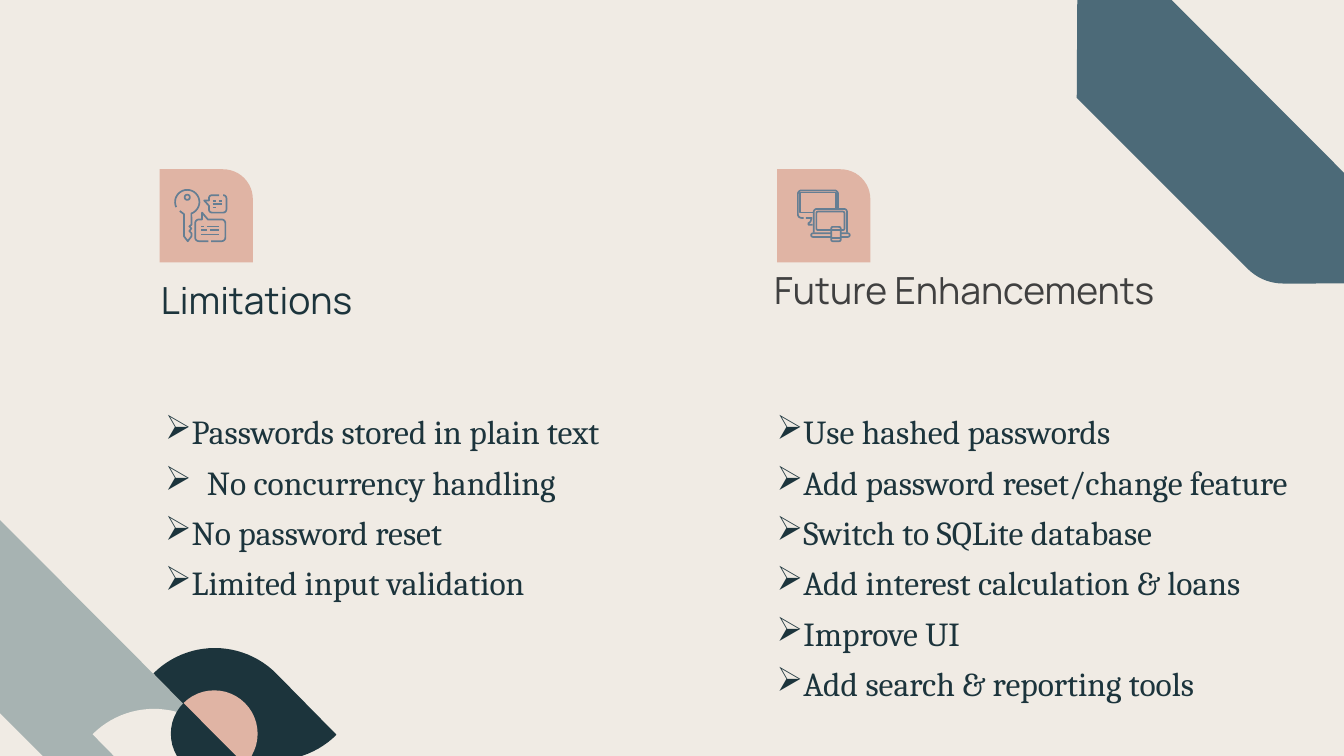
from dataclasses import dataclass
from math import cos, radians, sin

from lxml.etree import SubElement
from pptx import Presentation
from pptx.dml.color import RGBColor
from pptx.enum.shapes import MSO_CONNECTOR, MSO_SHAPE
from pptx.enum.text import MSO_ANCHOR
from pptx.oxml.ns import qn
from pptx.util import Cm, Pt


@dataclass(frozen=True)
class Theme:
    """Hold the colours, fonts and sizes of the slide."""
    paper: str = "F0EBE4"
    sage: str = "A7B3B2"
    ink: str = "1C343C"
    blush: str = "E0B4A4"
    slate: str = "4C6A78"
    icon: str = "657E93"
    grey: str = "404040"
    heading_font: str = "Manrope"
    body_font: str = "Cambria"
    heading_size: int = 20
    body_size: int = 18
    stroke: float = 0.9


THEME = Theme()


def rgb(value):
    """Turn a hex string into a colour."""
    return RGBColor.from_string(value)


def arc(x, y, radius, start, end, steps=24):
    """Return points along a circular arc, angles clockwise from the right."""
    angles = [radians(start + (end - start) * step / steps) for step in range(steps + 1)]
    return [(x + radius * cos(angle), y + radius * sin(angle)) for angle in angles]


def style(shape, fill=None, line=None):
    """Set fill and line of a shape and remove its shadow."""
    shape.shadow.inherit = False
    if fill:
        shape.fill.solid()
        shape.fill.fore_color.rgb = rgb(fill)
    else:
        shape.fill.background()
    if line:
        shape.line.color.rgb = rgb(line)
        shape.line.width = Pt(THEME.stroke)
    else:
        shape.line.fill.background()


def add_outline(page, left, top, points, fill=None, line=None, close=True):
    """Draw a freeform whose points are relative to left and top."""
    placed = [(Cm(left + x), Cm(top + y)) for x, y in points]
    builder = page.shapes.build_freeform(*placed[0])
    builder.add_line_segments(placed[1:], close=close)
    style(builder.convert_to_shape(), fill, line)


def add_preset(page, kind, left, top, width, height, fill=None, line=None, corner=None):
    """Draw a preset shape in the given box."""
    shape = page.shapes.add_shape(kind, Cm(left), Cm(top), Cm(width), Cm(height))
    if corner is not None:
        shape.adjustments[0] = corner
    style(shape, fill, line)


def add_stroke(page, left, top, x_start, x_end, y):
    """Draw a short horizontal icon line."""
    stroke = page.shapes.add_connector(
        MSO_CONNECTOR.STRAIGHT, Cm(left + x_start), Cm(top + y), Cm(left + x_end), Cm(top + y))
    stroke.line.color.rgb = rgb(THEME.icon)
    stroke.line.width = Pt(THEME.stroke)
    SubElement(stroke._element.spPr, qn("a:effectLst"))


def add_band(page, left, top, fill):
    """Draw a diagonal band with one rounded corner."""
    points = [(6.05, 6.05), (0.02, 0), (0, 3.63), *arc(3.9, 6.2, 0.94, 135, 90), (6.07, 7.14)]
    add_outline(page, left, top, points, fill)


def add_leaf(page, left, top, fill):
    """Draw a leaf made of two quarter arcs."""
    points = arc(1.16, 1.16, 1.64, 225, 315) + arc(2.3, 0, 1.64, 45, 135)
    add_outline(page, left, top, points, fill)


def add_corner_art(page, left, top):
    """Draw the band, leaves and split disc of the lower left corner."""
    add_band(page, left, top, THEME.sage)
    add_leaf(page, left + 2.95, top + 2.93, THEME.ink)
    add_leaf(page, left + 1.8, top + 4.08, THEME.paper)
    for start, fill in ((45, THEME.ink), (225, THEME.blush)):
        add_outline(page, left + 4.1, top + 4.07, arc(0, 0, 0.82, start, start + 180), fill)


def add_key_icon(page, left, top):
    """Draw a key with two speech bubbles in a one centimetre box."""
    key = [*arc(0.24, 0.24, 0.23, 155, 430), (0.32, 0.67), (0.28, 0.7), (0.32, 0.74),
           (0.28, 0.79), (0.32, 0.83), (0.32, 0.89), (0.25, 0.98), (0.18, 0.89),
           (0.18, 0.47), (0.1, 0.41)]
    small_bubble = [(0.84, 0.11), *arc(0.71, 0.17, 0.06, 270, 180), (0.65, 0.21),
                    (0.56, 0.21), (0.65, 0.31), *arc(0.71, 0.38, 0.06, 180, 90),
                    *arc(0.92, 0.38, 0.06, 90, 0), *arc(0.92, 0.17, 0.06, 0, -90)]
    large_bubble = [(0.64, 0.98), *arc(0.46, 0.91, 0.07, 90, 180),
                    *arc(0.46, 0.64, 0.07, 180, 270), (0.52, 0.57), (0.52, 0.44),
                    (0.63, 0.57), *arc(0.89, 0.64, 0.07, 270, 360),
                    *arc(0.89, 0.91, 0.07, 0, 90), (0.69, 0.98)]
    for points in (key, small_bubble, large_bubble):
        add_outline(page, left, top, points, line=THEME.icon, close=False)
    add_preset(page, MSO_SHAPE.OVAL, left + 0.19, top + 0.1, 0.1, 0.1, line=THEME.icon)
    for stroke in ((0.72, 0.79, 0.22), (0.83, 0.9, 0.22), (0.72, 0.9, 0.28),
                   (0.72, 0.79, 0.34), (0.5, 0.56, 0.7), (0.61, 0.84, 0.7),
                   (0.5, 0.62, 0.77), (0.67, 0.84, 0.77), (0.5, 0.84, 0.85)):
        add_stroke(page, left, top, *stroke)


def add_devices_icon(page, left, top):
    """Draw a monitor, a laptop and a phone in a one centimetre box."""
    monitor = [(0.78, 0.36), *arc(0.71, 0.09, 0.07, 0, -90), *arc(0.09, 0.09, 0.07, 270, 180),
               *arc(0.09, 0.47, 0.07, 180, 90), (0.13, 0.54)]
    display = [(0.74, 0.36), (0.74, 0.06), (0.06, 0.06), (0.06, 0.44), (0.31, 0.44)]
    stand = [(0.17, 0.54), (0.28, 0.54), (0.26, 0.61), (0.22, 0.64), (0.22, 0.67), (0.3, 0.67)]
    lid = [(0.32, 0.82), *arc(0.38, 0.43, 0.06, 180, 270), *arc(0.89, 0.43, 0.06, 270, 360),
           (0.95, 0.82)]
    for points in (monitor, display, stand, lid):
        add_outline(page, left, top, points, line=THEME.icon, close=False)
    for x, y, width, height, corner, fill in (
            (0.37, 0.42, 0.53, 0.35, 0.08, None), (0.27, 0.83, 0.73, 0.07, 0.5, None),
            (0.65, 0.71, 0.18, 0.27, 0.16, THEME.blush)):
        add_preset(page, MSO_SHAPE.ROUNDED_RECTANGLE, left + x, top + y, width, height,
                   fill, THEME.icon, corner)
    for y in (0.77, 0.92):
        add_stroke(page, left, top, 0.65, 0.83, y)


def add_tile(page, left, top, draw_icon, inset):
    """Draw a tile with one rounded corner and an icon on it."""
    add_preset(page, MSO_SHAPE.ROUND_1_RECTANGLE, left, top, 1.76, 1.76,
               THEME.blush, corner=0.32)
    draw_icon(page, left + inset, top + 0.38)


def add_bullet(para, color, margin):
    """Give a paragraph an arrow bullet with a hanging indent."""
    props = para._p.get_or_add_pPr()
    props.set("marL", str(Cm(margin)))
    props.set("indent", str(Cm(-0.79)))
    SubElement(SubElement(props, qn("a:buClr")), qn("a:srgbClr")).set("val", color)
    SubElement(props, qn("a:buChar")).set("char", "➢")


def add_text(page, left, top, width, height, lines, *, font, size, color,
             anchor=MSO_ANCHOR.TOP, margins=None):
    """Place lines of text, bulleted when margins are given."""
    box = page.shapes.add_textbox(Cm(left), Cm(top), Cm(width), Cm(height))
    frame = box.text_frame
    frame.word_wrap = True
    frame.vertical_anchor = anchor
    for index, line in enumerate(lines):
        para = frame.add_paragraph() if index else frame.paragraphs[0]
        if margins:
            add_bullet(para, color, margins[index])
        para.line_spacing = 0.9
        para.space_before = Pt(7.5 if index else 0)
        span = para.add_run()
        span.text = line
        span.font.name = font
        span.font.size = Pt(size)
        span.font.color.rgb = rgb(color)


def add_heading(page, left, top, width, text, color):
    """Place a column heading."""
    add_text(page, left, top, width, 1.24, [text], font=THEME.heading_font,
             size=THEME.heading_size, color=color)


def add_list(page, left, top, width, height, lines, wide=()):
    """Place a bulleted list; lines indexed in wide get a larger margin."""
    margins = [0.79 if index in wide else 0.16 for index in range(len(lines))]
    add_text(page, left, top, width, height, lines, font=THEME.body_font,
             size=THEME.body_size, color=THEME.ink, anchor=MSO_ANCHOR.MIDDLE, margins=margins)


def main():
    """Build the slide and save it."""
    deck = Presentation()
    deck.slide_width, deck.slide_height = Cm(25.4), Cm(14.29)
    page = deck.slides.add_slide(deck.slide_layouts[6])
    page.background.fill.solid()
    page.background.fill.fore_color.rgb = rgb(THEME.paper)
    add_corner_art(page, -0.05, 9.8)
    add_band(page, 20.35, -1.78, THEME.slate)
    add_tile(page, 3.02, 3.2, add_key_icon, 0.28)
    add_tile(page, 14.69, 3.2, add_devices_icon, 0.37)
    add_heading(page, 2.79, 5.21, 7.72, "Limitations", THEME.ink)
    add_heading(page, 14.38, 5.03, 9.12, "Future Enhancements", THEME.grey)
    add_list(page, 2.87, 7.52, 9.8, 4.22, [
        "Passwords stored in plain text", "No concurrency handling",
        "No password reset", "Limited input validation"], wide=(1,))
    add_list(page, 14.43, 7.61, 10.97, 5.94, [
        "Use hashed passwords", "Add password reset/change feature",
        "Switch to SQLite database", "Add interest calculation & loans",
        "Improve UI", "Add search & reporting tools"])
    deck.save("out.pptx")


if __name__ == "__main__":
    main()
